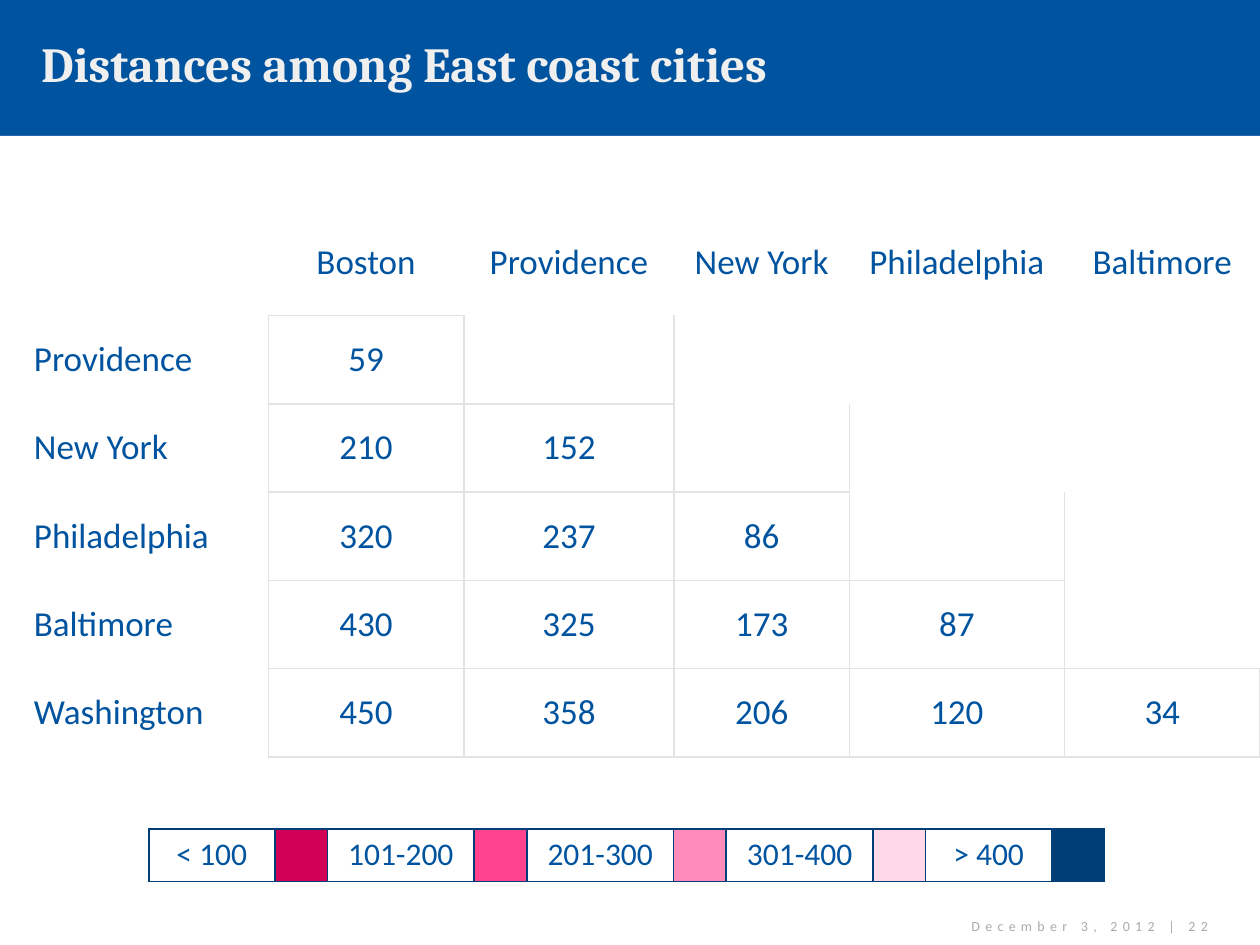
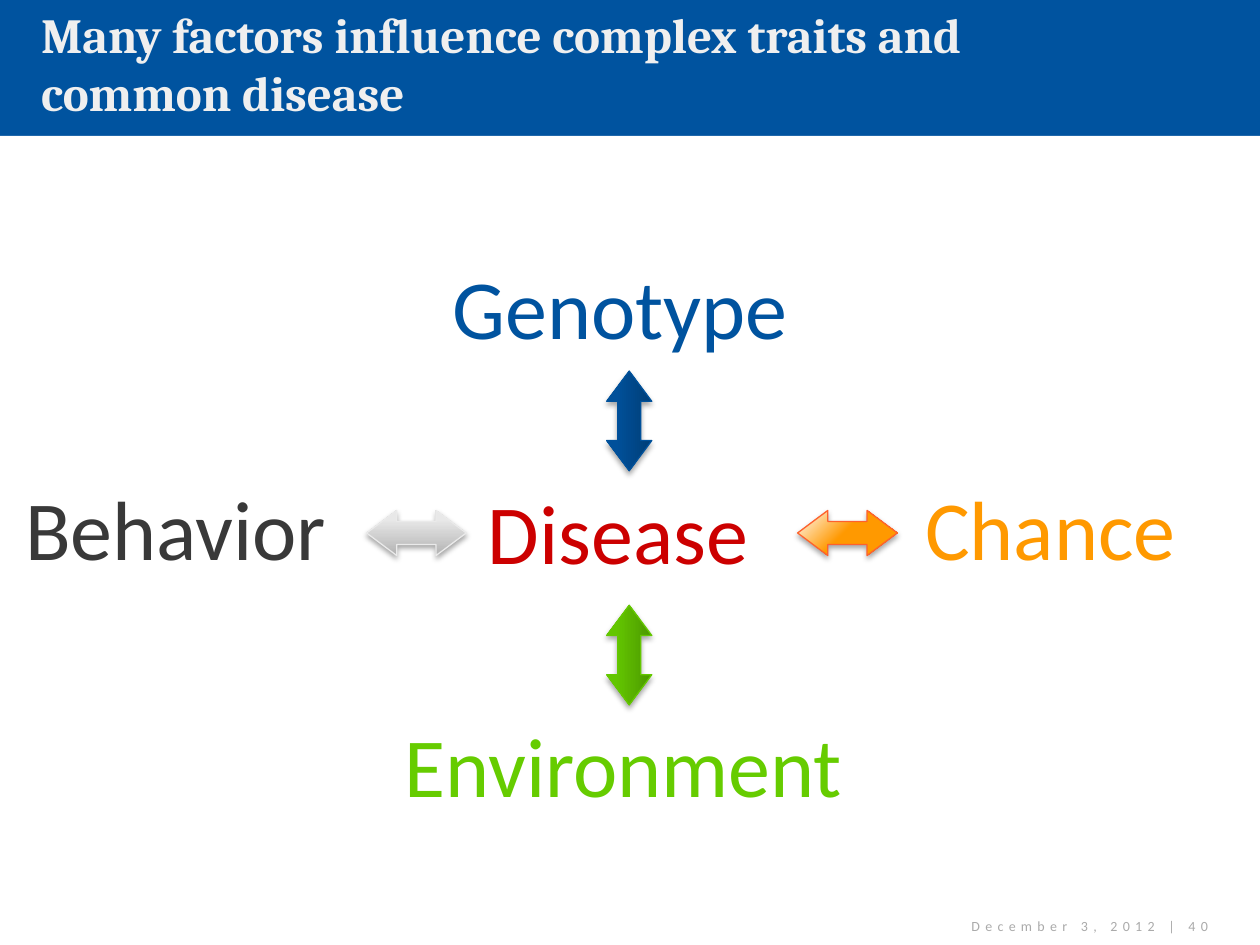
from lxml.etree import SubElement as Sub
from pptx import Presentation as Deck
from pptx.dml.color import RGBColor as Rgb
from pptx.enum.shapes import MSO_SHAPE as Kind
from pptx.enum.text import MSO_ANCHOR as Anchor, MSO_AUTO_SIZE as Auto, PP_ALIGN as Align
from pptx.oxml import parse_xml as parse
from pptx.oxml.ns import nsdecls, qn
from pptx.util import Cm, Pt

INK = {
    "blue": "00539F", "navy": "003E77", "white": "FFFFFF", "title": "EFEFEF",
    "foot": "AAAAAA", "grid": "E3E3E3", "red": "CC0000", "green": "66CC00",
    "dark": "393939", "gold": "FF9900", "rose": "D00054", "pink": "FF438F",
    "blush": "FF8BBA", "pale": "FFD9E8",
}
BODY, HEAD = "Calibri", "Cambria"
WIDE, HIGH, BAND = 25.4, 19.05, 2.74
PLAIN = "{2D5ABB26-0587-4C30-8999-92F81FD0307C}"
SIDES = {"lnL": (0, -1), "lnR": (0, 1), "lnT": (-1, 0), "lnB": (1, 0)}

CITIES = ["Boston", "Providence", "New York", "Philadelphia", "Baltimore", "Washington"]
MILES = [[59], [210, 152], [320, 237, 86], [430, 325, 173, 87], [450, 358, 206, 120, 34]]
KEYS = [("< 100", "rose", 2.54), ("101-200", "pink", 2.96), ("201-300", "blush", 2.96),
        ("301-400", "pale", 2.96), ("> 400", "navy", 2.54)]

WORDS = [("Disease", "red", 9.32, 4.52, 5.46), ("Genotype", "blue", 8.61, 0, 6.98),
         ("Environment", "green", 7.65, 9.22, 9.3), ("Behavior", "dark", 0, 4.44, 6.3),
         ("Chance", "gold", 18.14, 4.44, 5.26)]
RISE = '<a:lin ang="16200000" scaled="0"/>'
GLOW = '<a:path path="circle"><a:fillToRect l="100000" t="100000"/></a:path>'
ARROWS = [
    (15.65, 5.21, 0, "FE612D", [(52, INK["gold"]), (100, INK["white"])], GLOW),
    (6.96, 5.21, 0, "EAEAEA", [(0, "B2B2B2"), (80, "E8E8E8"), (100, "E9E9E9")], RISE),
    (11.25, 2.95, 270, "00519B", [(0, INK["navy"]), (80, "00509A"), (100, "00519B")], RISE),
    (11.25, 7.67, 270, "64C800", [(0, "4C9800"), (80, "63C600"), (100, "63C700")], RISE),
]


def tint(name):
    return Rgb.from_string(INK[name])


def style(frame, text, size, ink, face=BODY, bold=False, align=Align.LEFT):
    frame.text = text
    para = frame.paragraphs[0]
    para.alignment = align
    font = para.runs[0].font
    font.size, font.name, font.bold = Pt(size), face, bold
    font.color.rgb = tint(ink)
    return para.runs[0]


def label(slide, box, text, size, ink, **look):
    frame = slide.shapes.add_textbox(*map(Cm, box)).text_frame
    frame.word_wrap = True
    frame.vertical_anchor = Anchor.MIDDLE
    return frame, style(frame, text, size, ink, **look)


def base(deck, title, page):
    slide = deck.slides.add_slide(deck.slide_layouts[6])
    back = slide.background.fill
    back.solid()
    back.fore_color.rgb = tint("blue")
    sheet = slide.shapes.add_shape(Kind.RECTANGLE, 0, Cm(BAND), Cm(WIDE), Cm(HIGH - BAND))
    sheet.shadow.inherit = False
    sheet.fill.solid()
    sheet.fill.fore_color.rgb = tint("white")
    sheet.line.fill.background()
    label(slide, (0.58, 0, 20.37, 2.54), title, 28, "title", face=HEAD, bold=True)
    foot = label(slide, (18.11, 18.42, 6.5, 0.5), f"December 3, 2012 | {page}", 8, "foot",
                 align=Align.RIGHT)[1]
    foot.font._element.set("spc", "300")
    return slide


def table(slide, box, cols, rows):
    left, top = box
    size = sum(cols), sum(rows)
    frame = slide.shapes.add_table(len(rows), len(cols), *map(Cm, (left, top, *size)))
    grid = frame.table
    grid.first_row = grid.horz_banding = False
    grid._tbl.tblPr.find(qn("a:tableStyleId")).text = PLAIN
    for col, span in zip(grid.columns, cols):
        col.width = Cm(span)
    for row, span in zip(grid.rows, rows):
        row.height = Cm(span)
    return grid


def edge(cell, sides, ink):
    props = cell._tc.get_or_add_tcPr()
    for side in sides:
        line = Sub(props, qn(f"a:{side}"), w=str(Pt(1)))
        Sub(Sub(line, qn("a:solidFill")), qn("a:srgbClr"), val=INK[ink])


def paint(cell, ink=None):
    if ink:
        cell.fill.solid()
        cell.fill.fore_color.rgb = tint(ink)
    else:
        cell.fill.background()


def chart(slide, box):
    cols = [4.34, 0.64, 3.94, 4.24, 3.53, 4.34, 3.94]
    grid = table(slide, box, cols, [2.12] + [1.78] * len(MILES))
    texts = {(0, c): name for c, name in enumerate(CITIES[:-1], 2)}
    texts |= {(r, 0): name for r, name in enumerate(CITIES[1:], 1)}
    miles = {(r, c): str(gap) for r, line in enumerate(MILES, 1)
             for c, gap in enumerate(line, 2)}
    texts |= miles
    for r in range(len(grid.rows)):
        for c in range(len(cols)):
            cell = grid.cell(r, c)
            edge(cell, [side for side, (down, over) in SIDES.items()
                        if (r, c) in miles or (r + down, c + over) in miles], "grid")
            paint(cell)
            cell.vertical_anchor = Anchor.MIDDLE
            if (r, c) in texts:
                style(cell.text_frame, texts[r, c], 20, "blue",
                      align=Align.CENTER if c else Align.LEFT)
    grid.cell(3, 1).merge(grid.cell(5, 1))


def legend(slide, box):
    cols = [span for key in KEYS for span in (key[2], 1.06)]
    grid = table(slide, box, cols, [1.06])
    for cell in grid.iter_cells():
        edge(cell, SIDES, "navy")
        paint(cell)
    for i, (text, ink, _) in enumerate(KEYS):
        style(grid.cell(0, 2 * i).text_frame, text, 18, "blue", align=Align.CENTER)
        paint(grid.cell(0, 2 * i + 1), ink)


def arrow(slide, box, turn, rim, stops, path):
    shape = slide.shapes.add_shape(Kind.LEFT_RIGHT_ARROW, *map(Cm, box))
    shape.rotation = turn
    shape.adjustments[0], shape.adjustments[1] = 0.51, 0.67
    shape.fill.background()
    shape.line.color.rgb = Rgb.from_string(rim)
    shape.line.width = Pt(0.75)
    shape.shadow.inherit = False
    marks = "".join(f'<a:gs pos="{pos * 1000}"><a:srgbClr val="{ink}"/></a:gs>'
                    for pos, ink in stops)
    props = shape._element.spPr
    props.replace(props.find(qn("a:noFill")), parse(
        f'<a:gradFill {nsdecls("a")} rotWithShape="1"><a:gsLst>{marks}</a:gsLst>{path}</a:gradFill>'))
    props.find(qn("a:effectLst")).append(parse(
        f'<a:outerShdw {nsdecls("a")} blurRad="40000" dist="23000" dir="5400000" rotWithShape="0">'
        '<a:srgbClr val="000000"><a:alpha val="35000"/></a:srgbClr></a:outerShdw>'))


def factors(slide, box):
    left, top = box
    for text, ink, x, y, wide in WORDS:
        frame = label(slide, (left + x, top + y, wide, 2.21), text, 48, ink)[0]
        frame.word_wrap = False
        frame.auto_size = Auto.SHAPE_TO_FIT_TEXT
        frame.vertical_anchor = Anchor.TOP
        frame.margin_left = frame.margin_right = Cm(0.08)
        frame.margin_top = frame.margin_bottom = Cm(0.08)
    for x, y, *look in ARROWS:
        arrow(slide, (left + x, top + y, 2.01, 0.91), *look)


def main():
    deck = Deck()
    deck.slide_width, deck.slide_height = Cm(WIDE), Cm(HIGH)
    slide = base(deck, "Distances among East coast cities", 22)
    chart(slide, (0.43, 4.24))
    legend(slide, (3, 16.71))
    slide = base(deck, "Many factors influence complex traits and common disease", 40)
    factors(slide, (0.43, 5.08))
    deck.save("out.pptx")


if __name__ == "__main__":
    main()
